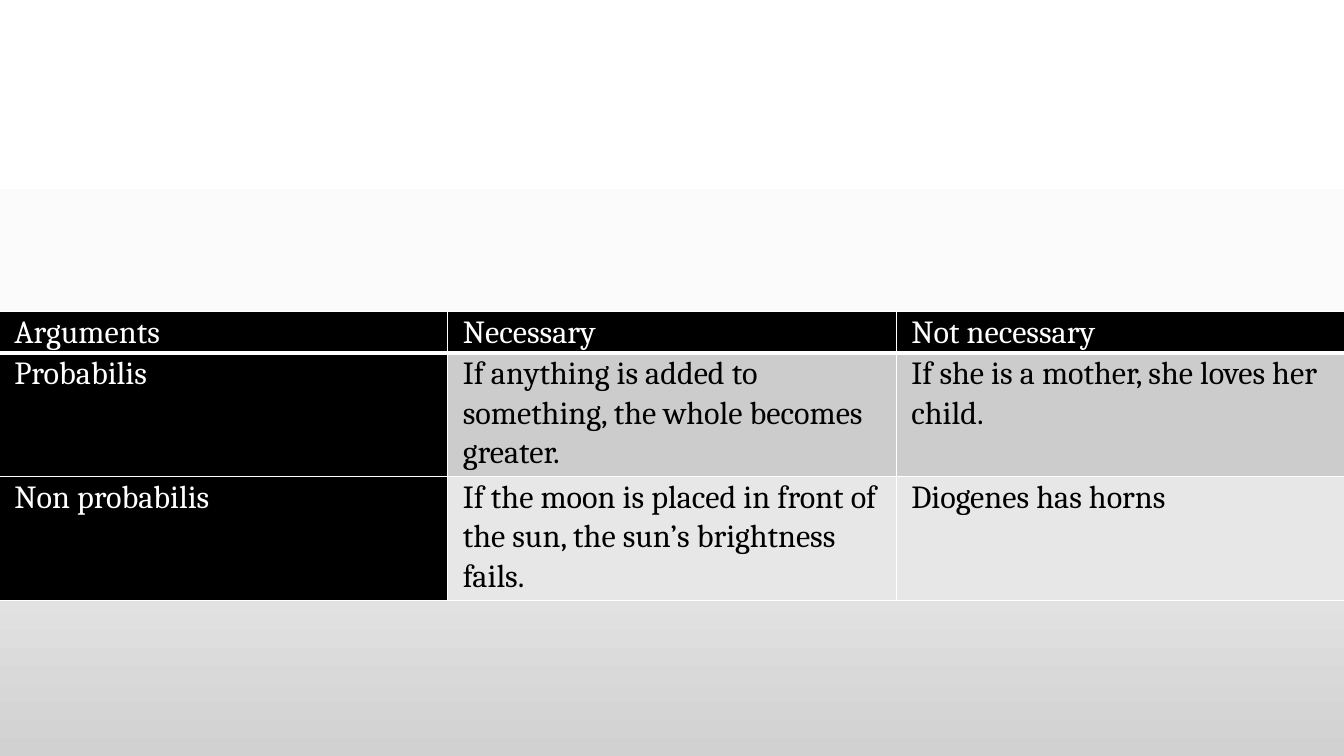
from copy import deepcopy

from lxml import etree
from pptx import Presentation
from pptx.dml.color import RGBColor
from pptx.oxml.ns import qn
from pptx.util import Cm, Pt

WIDE, HIGH = 33.87, 19.05
ROWS = [
    ["Arguments", "Necessary", "Not necessary"],
    ["Probabilis", "If anything is added to something, the whole becomes greater.",
     "If she is a mother, she loves her child."],
    ["Non probabilis",
     "If the moon is placed in front of the sun, the sun’s brightness fails.",
     "Diogenes has horns"],
]
TALL = [1.04, 3.12, 3.12]
BANDS = ["000000", "CCCCCC", "E7E7E7"]
STOPS = [(0, "FFFFFF"), (0.5, "FBFBFB"), (1, "D1D1D1")]


def color(code):
    """Turn a hex string into a colour."""
    return RGBColor.from_string(code)


def write(frame, text, size=23, font="Cambria", ink="000000", lead=1.07):
    """Put formatted text into a frame."""
    para = frame.paragraphs[0]
    para.line_spacing = lead
    run = para.add_run()
    run.text = text
    run.font.size = Pt(size)
    run.font.name = font
    run.font.bold = False
    run.font.color.rgb = color(ink)


def edge(cell, side, width, ink="FFFFFF"):
    """Draw one border of a cell."""
    props = cell._tc.get_or_add_tcPr()
    line = etree.SubElement(props, qn("a:" + side), w=str(Pt(width)))
    fill = etree.SubElement(line, qn("a:solidFill"))
    etree.SubElement(fill, qn("a:srgbClr"), val=ink)


def shade(slide):
    """Fill the background with a vertical gradient."""
    fill = slide.background.fill
    fill.gradient()
    fill.gradient_angle = 270
    group = next(slide.element.iter(qn("a:gsLst")))
    group.append(deepcopy(group[0]))
    for stop, (place, code) in zip(fill.gradient_stops, STOPS):
        stop.position = place
        stop.color.rgb = color(code)


def grid(slide, left, top, width):
    """Place the table of arguments in its box."""
    table = slide.shapes.add_table(
        len(ROWS), len(ROWS[0]), Cm(left), Cm(top), Cm(width), Cm(sum(TALL))).table
    for column in table.columns:
        column.width = Cm(width / len(ROWS[0]))
    for r, texts in enumerate(ROWS):
        table.rows[r].height = Cm(TALL[r])
        for c, text in enumerate(texts):
            cell = table.cell(r, c)
            dark = r == 0 or c == 0
            cell.margin_left = cell.margin_right = Cm(0.38)
            cell.margin_top = cell.margin_bottom = 0
            for side in ("lnL", "lnR", "lnT", "lnB"):
                edge(cell, side, 3 if r == 0 and side == "lnB" else 1)
            cell.fill.solid()
            cell.fill.fore_color.rgb = color(BANDS[0] if dark else BANDS[r])
            write(cell.text_frame, text, ink="FFFFFF" if dark else "000000")


def main():
    """Build and save the slide."""
    deck = Presentation()
    deck.slide_width, deck.slide_height = Cm(WIDE), Cm(HIGH)
    slide = deck.slides.add_slide(deck.slide_layouts[6])
    shade(slide)
    grid(slide, -0.02, 7.85, 33.91)
    deck.save("out.pptx")


if __name__ == "__main__":
    main()
